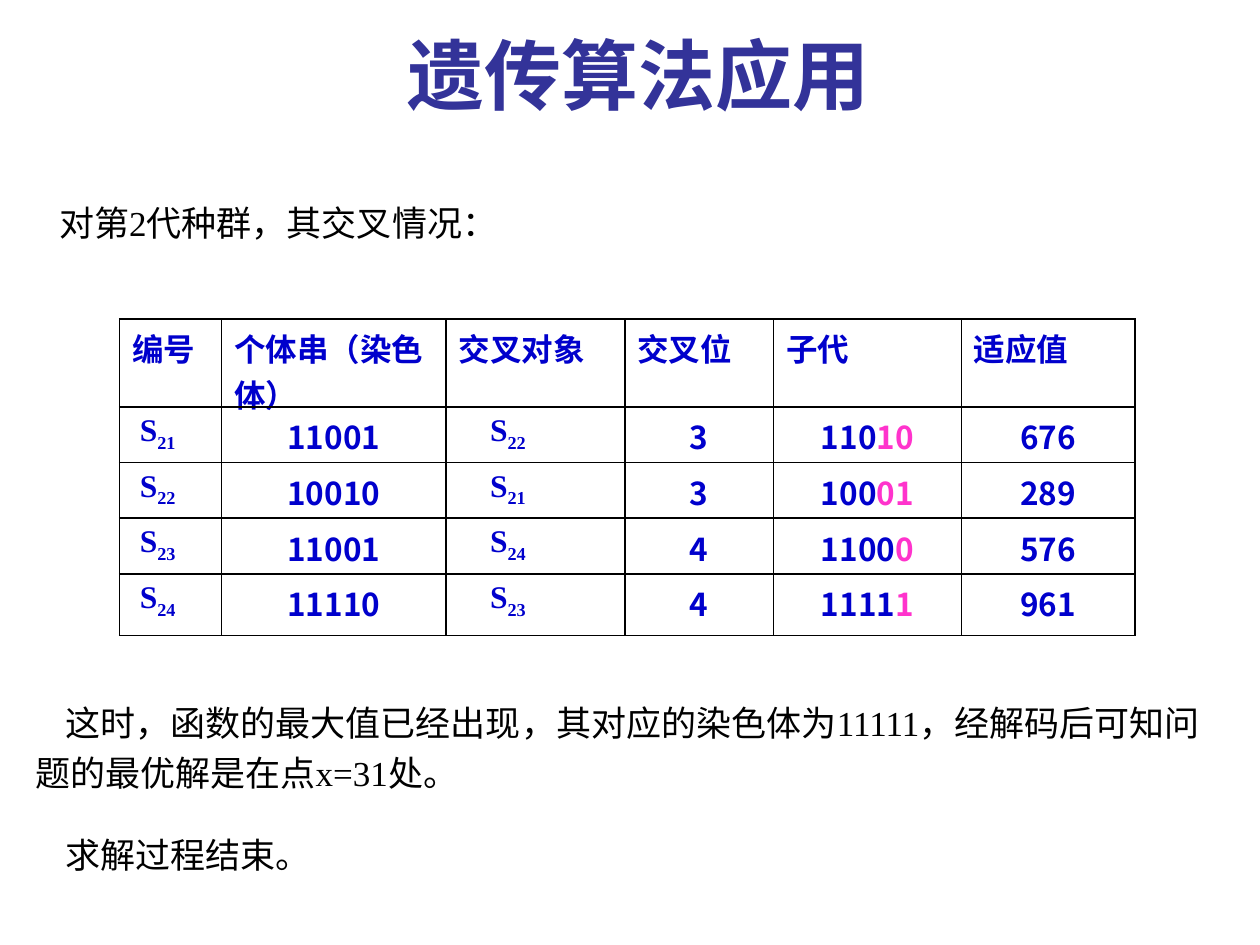
from lxml.etree import SubElement
from pptx import Presentation
from pptx.dml.color import RGBColor
from pptx.enum.text import MSO_ANCHOR, PP_ALIGN as Align
from pptx.oxml.ns import qn
from pptx.util import Inches, Pt

SANS, SERIF = "Noto Sans CJK SC", "Times New Roman"
BLUE, PINK, BLACK = "0000CC", "FF33CC", "000000"
HEADERS = ["编号", "个体串（染色体）", "交叉对象", "交叉位", "子代", "适应值"]
GENERATION = [
    ("21", "11001", "22", "3", "110", "10", "676"),
    ("22", "10010", "21", "3", "100", "01", "289"),
    ("23", "11001", "24", "4", "1100", "0", "576"),
    ("24", "11110", "23", "4", "1111", "1", "961"),
]
COLUMN_WIDTHS = [0.81, 1.78, 1.42, 1.18, 1.49, 1.38]
ROW_HEIGHTS = [0.7, 0.44, 0.44, 0.44, 0.49]


def color(value):
    return RGBColor.from_string(value)


def add_run(paragraph, text, size=18, font=SANS, fill=BLUE, bold=True,
            east_asian=SANS, baseline=0):
    run = paragraph.add_run()
    run.text = text
    run.font.size = Pt(size)
    run.font.name = font
    run.font.bold = bold
    run.font.color.rgb = color(fill)
    properties = run.font._element
    SubElement(properties, qn("a:ea")).set("typeface", east_asian)
    if baseline:
        properties.set("baseline", str(baseline * 1000))


def set_indent(paragraph, indent):
    paragraph._p.get_or_add_pPr().set("indent", str(Inches(indent)))


def add_text(slide, box, lines, align=Align.LEFT, indent=0, spacing=None,
             before=0, **style):
    frame = slide.shapes.add_textbox(*map(Inches, box)).text_frame
    frame.word_wrap = True
    for index, line in enumerate(lines):
        paragraph = frame.add_paragraph() if index else frame.paragraphs[0]
        paragraph.alignment = align
        set_indent(paragraph, indent)
        if spacing:
            paragraph.line_spacing = spacing
        if index:
            paragraph.space_before = Pt(before)
        add_run(paragraph, line, **style)


def set_borders(cell):
    properties = cell._tc.get_or_add_tcPr()
    for position, side in enumerate(("a:lnL", "a:lnR", "a:lnT", "a:lnB")):
        border = properties.makeelement(qn(side), {"w": str(Pt(1))})
        fill = SubElement(border, qn("a:solidFill"))
        SubElement(fill, qn("a:srgbClr")).set("val", BLACK)
        properties.insert(position, border)


def fill_cell(cell, runs, align=Align.LEFT, indent=0):
    cell.fill.background()
    cell.vertical_anchor = MSO_ANCHOR.TOP
    set_borders(cell)
    paragraph = cell.text_frame.paragraphs[0]
    paragraph.alignment = align
    set_indent(paragraph, indent)
    for text, style in runs:
        add_run(paragraph, text, **style)


def individual(number):
    return [("S", {"font": SERIF}),
            (number, {"font": SERIF, "baseline": -25})]


def add_crossover_table(slide, left, top):
    box = map(Inches, (left, top, sum(COLUMN_WIDTHS), sum(ROW_HEIGHTS)))
    table = slide.shapes.add_table(
        len(ROW_HEIGHTS), len(COLUMN_WIDTHS), *box).table
    table.first_row = table.horz_banding = False
    for column, width in zip(table.columns, COLUMN_WIDTHS):
        column.width = Inches(width)
    for row, height in zip(table.rows, ROW_HEIGHTS):
        row.height = Inches(height)
    for column, header in enumerate(HEADERS):
        fill_cell(table.cell(0, column), [(header, {"font": "Arial"})])
    for row, values in enumerate(GENERATION, 1):
        number, chromosome, partner, site, kept, swapped, fitness = values
        fill_cell(table.cell(row, 0), individual(number), indent=0.06)
        fill_cell(table.cell(row, 2), individual(partner), indent=0.25)
        centred = {
            1: [(chromosome, {})],
            3: [(site, {})],
            4: [(kept, {}), (swapped, {"fill": PINK})],
            5: [(fitness, {})],
        }
        for column, runs in centred.items():
            fill_cell(table.cell(row, column), runs, Align.CENTER)


def main():
    deck = Presentation()
    deck.slide_width, deck.slide_height = Inches(10), Inches(7.5)
    slide = deck.slides.add_slide(deck.slide_layouts[6])
    body = {"size": 20, "font": SERIF, "fill": BLACK, "bold": False}
    add_text(slide, (0.18, 1.55, 9.61, 0.44), ["对第2代种群，其交叉情况："],
             indent=0.19, **body)
    add_crossover_table(slide, 0.95, 2.53)
    add_text(slide, (0.18, 5.45, 9.61, 1.57),
             ["这时，函数的最大值已经出现，其对应的染色体为11111，经解码后可知问题的最优解是在点x=31处。",
              "求解过程结束。"],
             indent=0.24, spacing=1.2, before=18, **body)
    add_text(slide, (2.02, 0.17, 6.1, 0.84), ["遗传算法应用"], Align.CENTER,
             size=44, font="Noto Sans CJK JP", fill="333399",
             east_asian="Noto Sans CJK JP")
    deck.save("out.pptx")


if __name__ == "__main__":
    main()
